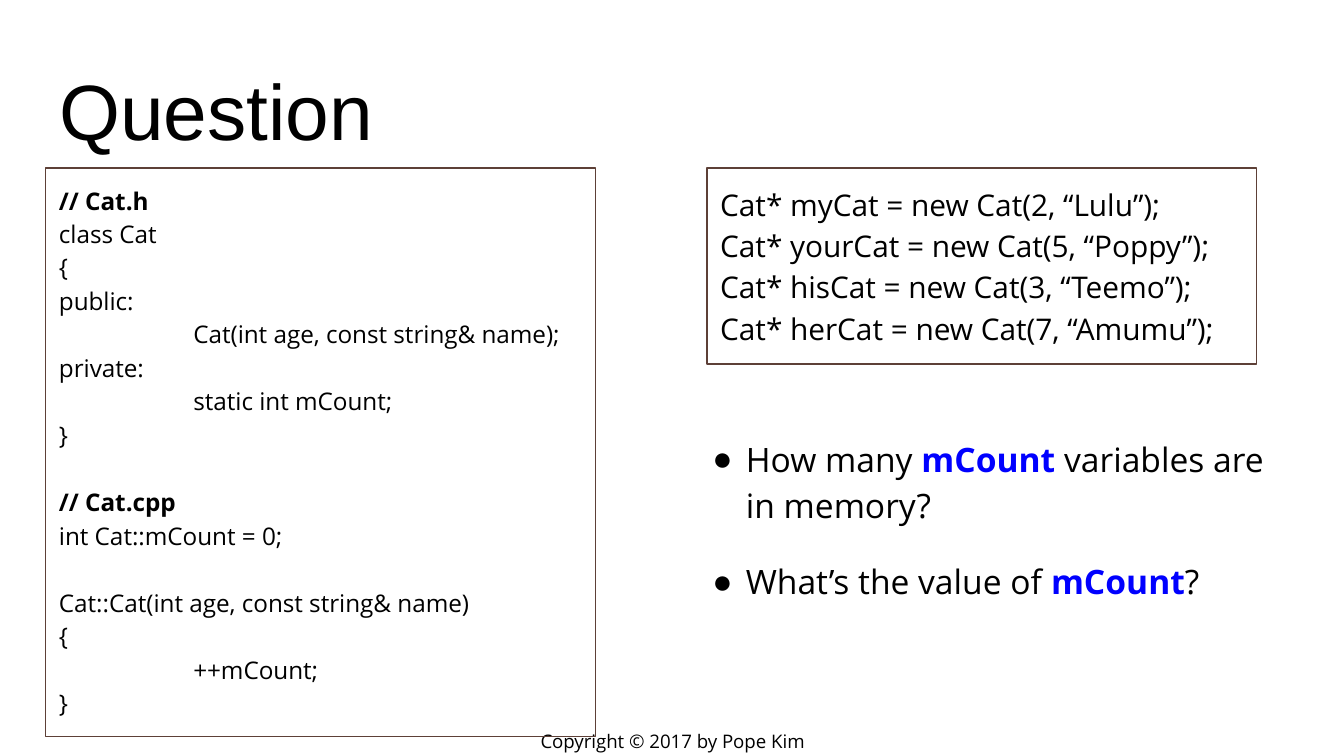
from dataclasses import dataclass
from lxml.etree import SubElement
from pptx import Presentation
from pptx.dml.color import RGBColor
from pptx.enum.shapes import MSO_SHAPE
from pptx.enum.text import MSO_ANCHOR, MSO_AUTO_SIZE, PP_ALIGN
from pptx.oxml.ns import qn
from pptx.util import Pt


@dataclass(frozen=True)
class Theme:
    heading_font: str = "Arial"
    body_font: str = "Open Sans"
    text: RGBColor = RGBColor(0, 0, 0)
    accent: RGBColor = RGBColor(0, 0, 255)
    border: RGBColor = RGBColor(0x5D, 0x40, 0x37)
    title_size: int = 42
    body_size: int = 18
    class_size: int = 13
    usage_size: int = 16
    footer_size: int = 10
    line_spacing: float = 1.15


THEME = Theme()
INSET = Pt(7.2)
CODE_INDENT = Pt(72)
CODE_GAP = Pt(18)

CLASS_CODE = """// Cat.h
class Cat
{
public:
\tCat(int age, const string& name);
private:
\tstatic int mCount;
}

// Cat.cpp
int Cat::mCount = 0;

Cat::Cat(int age, const string& name)
{
\t++mCount;
}"""

USAGE_CODE = """Cat* myCat = new Cat(2, “Lulu”);
Cat* yourCat = new Cat(5, “Poppy”);
Cat* hisCat = new Cat(3, “Teemo”);
Cat* herCat = new Cat(7, “Amumu”);"""

# Text between asterisks is emphasised.
QUESTIONS = ["How many *mCount* variables are in memory?",
             "What’s the value of *mCount*?"]


def place(shape, box):
    shape.left, shape.top, shape.width, shape.height = (Pt(value) for value in box)


def prepare_frame(shape, anchor=MSO_ANCHOR.TOP):
    frame = shape.text_frame
    frame.word_wrap = True
    frame.auto_size = MSO_AUTO_SIZE.NONE
    frame.vertical_anchor = anchor
    frame.margin_left = frame.margin_right = INSET
    frame.margin_top = frame.margin_bottom = INSET
    return frame


def format_paragraph(paragraph, size, font=THEME.body_font, align=PP_ALIGN.LEFT):
    paragraph.alignment = align
    paragraph.font.name = font
    paragraph.font.size = Pt(size)
    paragraph.font.color.rgb = THEME.text


def next_paragraph(frame, index):
    return frame.add_paragraph() if index else frame.paragraphs[0]


def add_title(slide, box, text):
    title = slide.shapes.title
    place(title, box)
    frame = prepare_frame(title, MSO_ANCHOR.BOTTOM)
    frame.text = text
    format_paragraph(frame.paragraphs[0], THEME.title_size, THEME.heading_font)


def add_code_box(slide, box, code, size):
    """Draw bordered code; an empty line becomes space above the next one."""
    shape = slide.shapes.add_shape(MSO_SHAPE.RECTANGLE, *(Pt(value) for value in box))
    shape.shadow.inherit = False
    shape.fill.background()
    shape.line.color.rgb = THEME.border
    shape.line.width = Pt(0.75)
    frame = prepare_frame(shape)
    gap = Pt(0)
    for index, line in enumerate(code.split("\n")):
        if not line:
            gap = CODE_GAP
            continue
        paragraph = next_paragraph(frame, index)
        paragraph.text = line.lstrip("\t")
        format_paragraph(paragraph, size)
        paragraph.font.bold = line.startswith("//")
        paragraph.line_spacing = THEME.line_spacing
        paragraph.space_before = gap
        if line.startswith("\t"):
            paragraph._p.get_or_add_pPr().set("marL", str(CODE_INDENT))
        gap = Pt(0)


def add_bullet(paragraph):
    properties = paragraph._p.get_or_add_pPr()
    properties.set("marL", str(Pt(36)))
    properties.set("indent", str(Pt(-18)))
    bullet = properties.makeelement(qn("a:buChar"), {"char": "●"})
    properties.insert_element_before(bullet, "a:tabLst", "a:defRPr", "a:extLst")


def add_questions(slide, box, questions):
    body = slide.placeholders[1]
    place(body, box)
    frame = prepare_frame(body)
    for index, question in enumerate(questions):
        paragraph = next_paragraph(frame, index)
        format_paragraph(paragraph, THEME.body_size)
        paragraph.line_spacing = THEME.line_spacing
        paragraph.space_before = Pt(0)
        paragraph.space_after = Pt(16)
        add_bullet(paragraph)
        for part, text in enumerate(question.split("*")):
            run = paragraph.add_run()
            run.text = text
            if part % 2:
                run.font.bold = True
                run.font.color.rgb = THEME.accent


def add_footer(slide, box, text):
    footer = slide.shapes.add_textbox(*(Pt(value) for value in box))
    frame = prepare_frame(footer, MSO_ANCHOR.MIDDLE)
    frame.text = text
    format_paragraph(frame.paragraphs[0], THEME.footer_size, align=PP_ALIGN.CENTER)


def main():
    presentation = Presentation()
    presentation.slide_width, presentation.slide_height = Pt(720), Pt(405)
    slide = presentation.slides.add_slide(presentation.slide_layouts[1])
    add_footer(slide, (271.4, 389.5, 177.8, 15.1), "Copyright © 2017 by Pope Kim")
    add_title(slide, (24.5, 25.2, 671, 65.5), "Question")
    add_questions(slide, (356.4, 224.6, 339.1, 136.1), QUESTIONS)
    add_code_box(slide, (24.5, 90, 294.5, 304.6), CLASS_CODE, THEME.class_size)
    add_code_box(slide, (378.7, 90, 294.5, 105.1), USAGE_CODE, THEME.usage_size)
    presentation.save("out.pptx")


if __name__ == "__main__":
    main()
